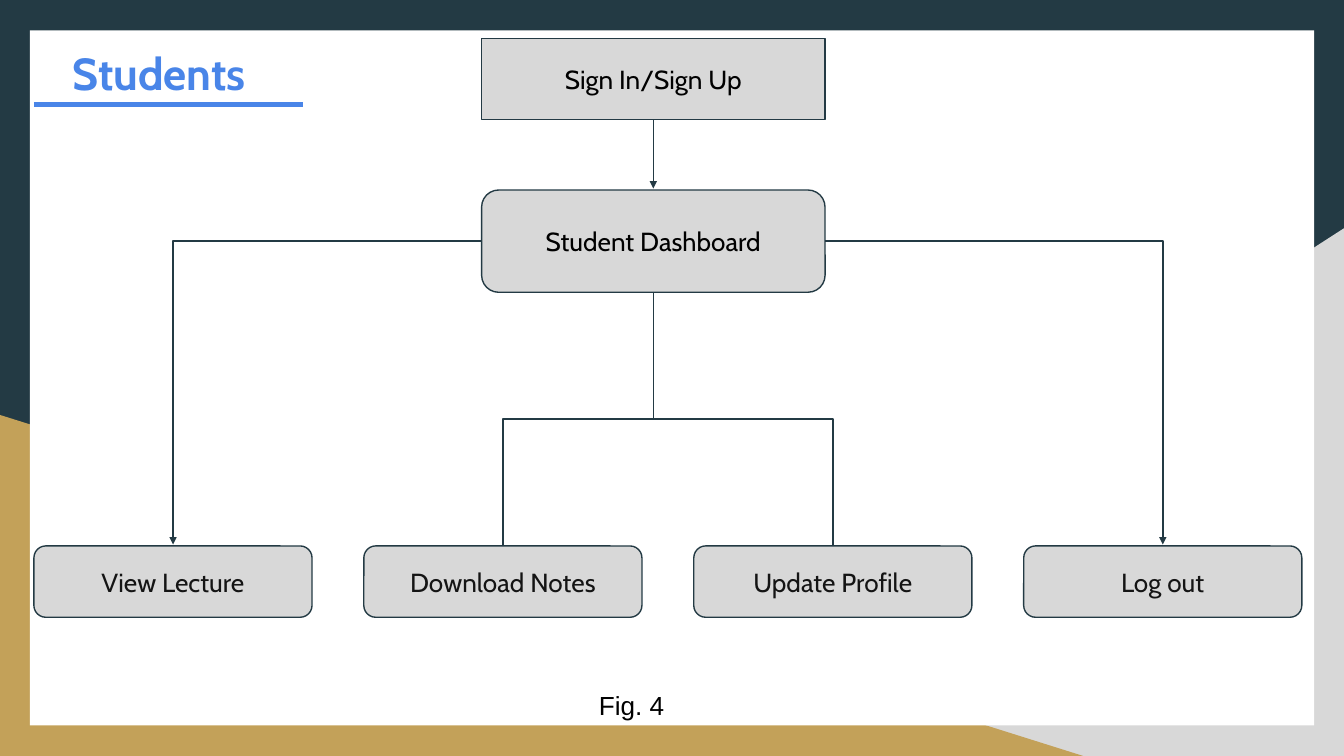
"""Build the student flow chart slide."""
from lxml.etree import SubElement
from pptx import Presentation
from pptx.dml.color import RGBColor
from pptx.enum.shapes import MSO_CONNECTOR, MSO_SHAPE
from pptx.enum.text import MSO_ANCHOR, PP_ALIGN
from pptx.oxml.ns import qn
from pptx.util import Pt

WIDE, HIGH = 720, 405
NAVY, GREY, GOLD, WHITE = "233A44", "D8D8D8", "C3A159", "FFFFFF"
BLUE, BLACK, INK = "4985E8", "000000", "141414"

WEDGES = [
    (GREY, [(WIDE, HIGH), (282, HIGH), (WIDE, 122.3)]),
    (GOLD, [(580.3, HIGH), (0, HIGH), (0, 222.3)]),
]
PANEL = (16, 16.2, 688, 372.4)
LOGIN = ("Sign In/Sign Up", (258, 20.5, 184, 43.5))
BOARD = ("Student Dashboard", (258, 101.8, 184, 54.8))
TASKS = ["View Lecture", "Download Notes", "Update Profile", "Log out"]
FIRST, STEP, ROW, TASK_W, TASK_H = 18.2, 176.75, 292.5, 149, 38.2
NOTES = [
    ("Students", (39, 23, 130, 32), "Cabin", 24, BLUE, True),
    ("Fig. 4", (320.8, 368, 60, 19), "Arial", 14, BLACK, False),
]
RULE = [(18.2, 56), (162.4, 56)]


def color(code):
    return RGBColor.from_string(code)


def write(shape, text, font, size, ink, bold=False, align=PP_ALIGN.CENTER):
    frame = shape.text_frame
    frame.margin_left = frame.margin_right = 0
    frame.margin_top = frame.margin_bottom = 0
    frame.word_wrap = True
    frame.vertical_anchor = MSO_ANCHOR.MIDDLE
    para = frame.paragraphs[0]
    para.text = text
    para.alignment = align
    para.font.name = font
    para.font.size = Pt(size)
    para.font.bold = bold
    para.font.color.rgb = color(ink)


def paint(shape, fill=None, line=None):
    shape.shadow.inherit = False
    if fill:
        shape.fill.solid()
        shape.fill.fore_color.rgb = color(fill)
    else:
        shape.fill.background()
    if line:
        shape.line.color.rgb = color(line)
        shape.line.width = Pt(0.75)
    else:
        shape.line.fill.background()


def block(shapes, kind, area, fill, line=None):
    shape = shapes.add_shape(kind, *map(Pt, area))
    paint(shape, fill, line)
    return shape


def trace(shapes, points, close, fill=None, line=None):
    spots = [(Pt(x), Pt(y)) for x, y in points]
    pen = shapes.build_freeform(*spots[0])
    pen.add_line_segments(spots[1:], close=close)
    shape = pen.convert_to_shape()
    paint(shape, fill, line)
    return shape


def join(shapes, start, end, ink=NAVY, width=0.75):
    line = shapes.add_connector(
        MSO_CONNECTOR.STRAIGHT, *map(Pt, (*start, *end)))
    line.line.color.rgb = color(ink)
    line.line.width = Pt(width)
    SubElement(line._element.spPr, qn("a:effectLst"))
    return line


def point(shape):
    edge = shape.line._get_or_add_ln()
    SubElement(edge, qn("a:tailEnd"), type="triangle", w="sm", len="sm")


def main():
    deck = Presentation()
    deck.slide_width, deck.slide_height = Pt(WIDE), Pt(HIGH)
    slide = deck.slides.add_slide(deck.slide_layouts[6])
    shapes = slide.shapes

    block(shapes, MSO_SHAPE.RECTANGLE, (0, 0, WIDE, HIGH), NAVY)
    for fill, points in WEDGES:
        trace(shapes, points, True, fill)
    block(shapes, MSO_SHAPE.RECTANGLE, PANEL, WHITE)

    nodes = [(*LOGIN, MSO_SHAPE.RECTANGLE, BLACK),
             (*BOARD, MSO_SHAPE.ROUNDED_RECTANGLE, BLACK)]
    for i, task in enumerate(TASKS):
        area = (FIRST + i * STEP, ROW, TASK_W, TASK_H)
        nodes.append((task, area, MSO_SHAPE.ROUNDED_RECTANGLE, INK))
    for text, area, kind, ink in nodes:
        node = block(shapes, kind, area, GREY, NAVY)
        write(node, text, "Cabin", 14, ink)

    left, top, width, height = BOARD[1]
    mid, low, side = left + width / 2, top + height, top + height / 2
    fork = (low + ROW) / 2
    view, notes, update, leave = [
        FIRST + i * STEP + TASK_W / 2 for i in range(len(TASKS))]

    login_low = LOGIN[1][1] + LOGIN[1][3]
    point(join(shapes, (mid, login_low), (mid, top - 0.75)))
    for edge, goal in [(left, view), (left + width, leave)]:
        route = [(edge, side), (goal, side), (goal, ROW - 0.75)]
        point(trace(shapes, route, False, line=NAVY))
    join(shapes, (mid, low), (mid, fork))
    fork_path = [(notes, ROW), (notes, fork), (update, fork), (update, ROW)]
    trace(shapes, fork_path, False, line=NAVY)

    for text, area, *style in NOTES:
        label = shapes.add_textbox(*map(Pt, area))
        write(label, text, *style, align=PP_ALIGN.LEFT)
    join(shapes, *RULE, BLUE, 2.25)
    deck.save("out.pptx")


if __name__ == "__main__":
    main()
